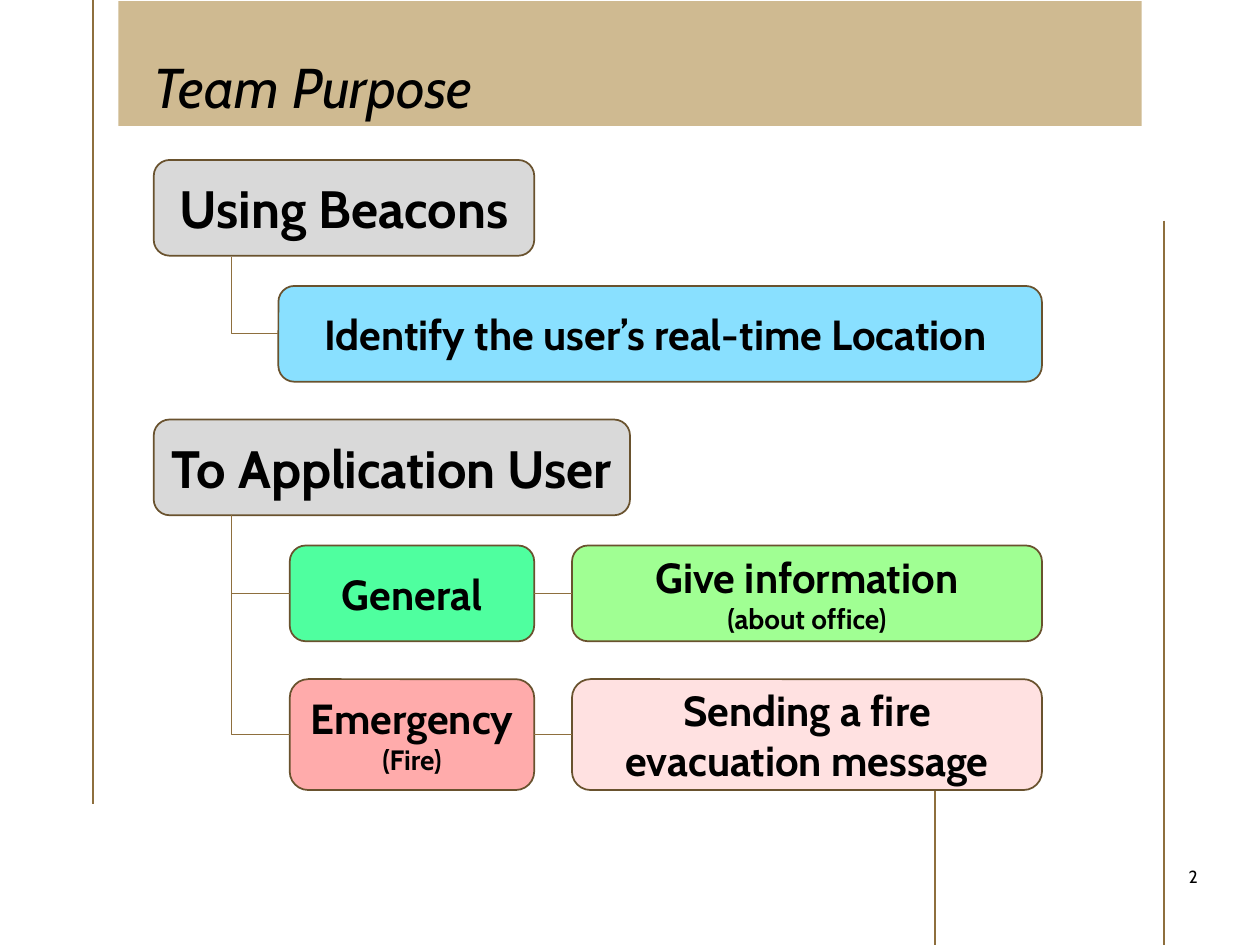
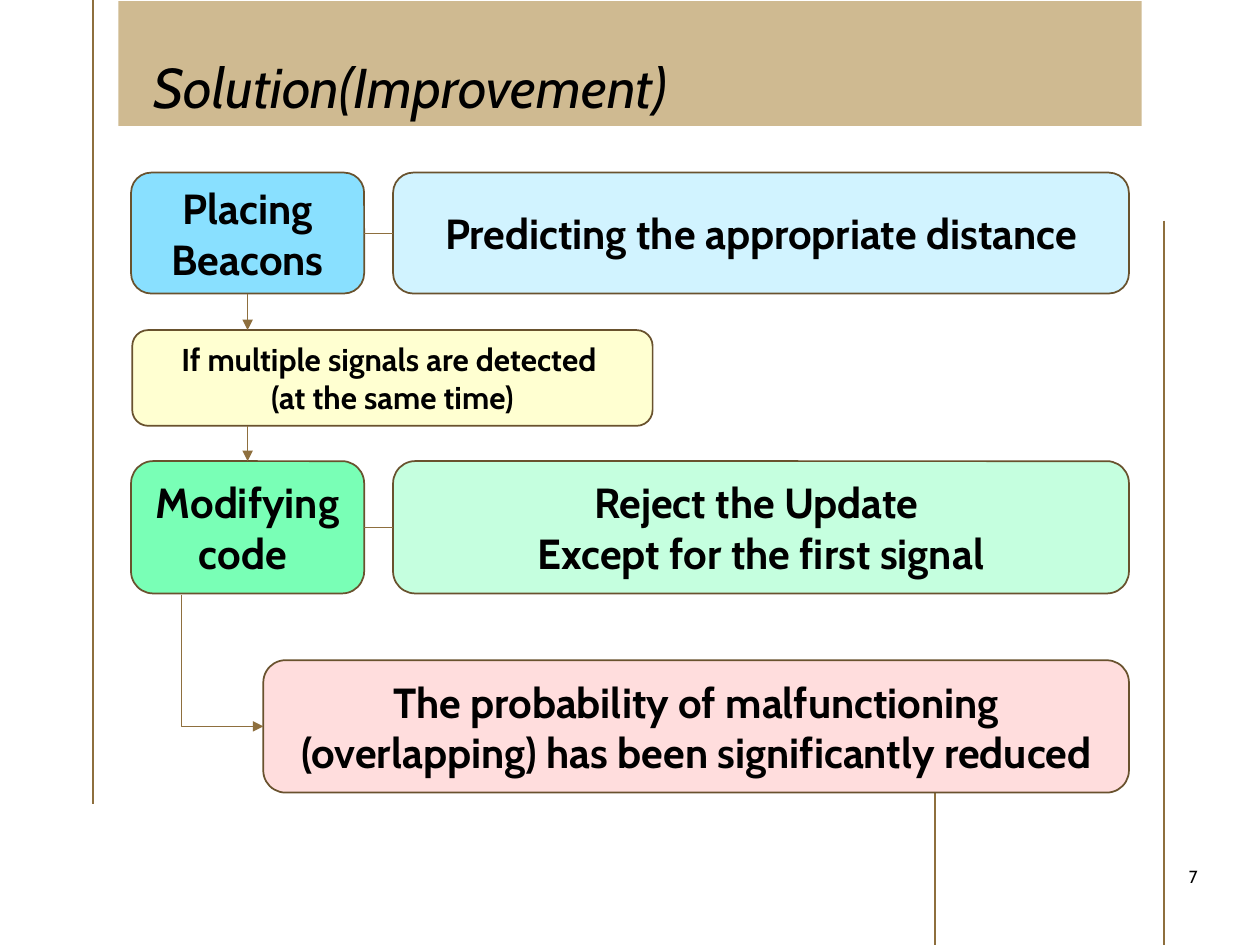
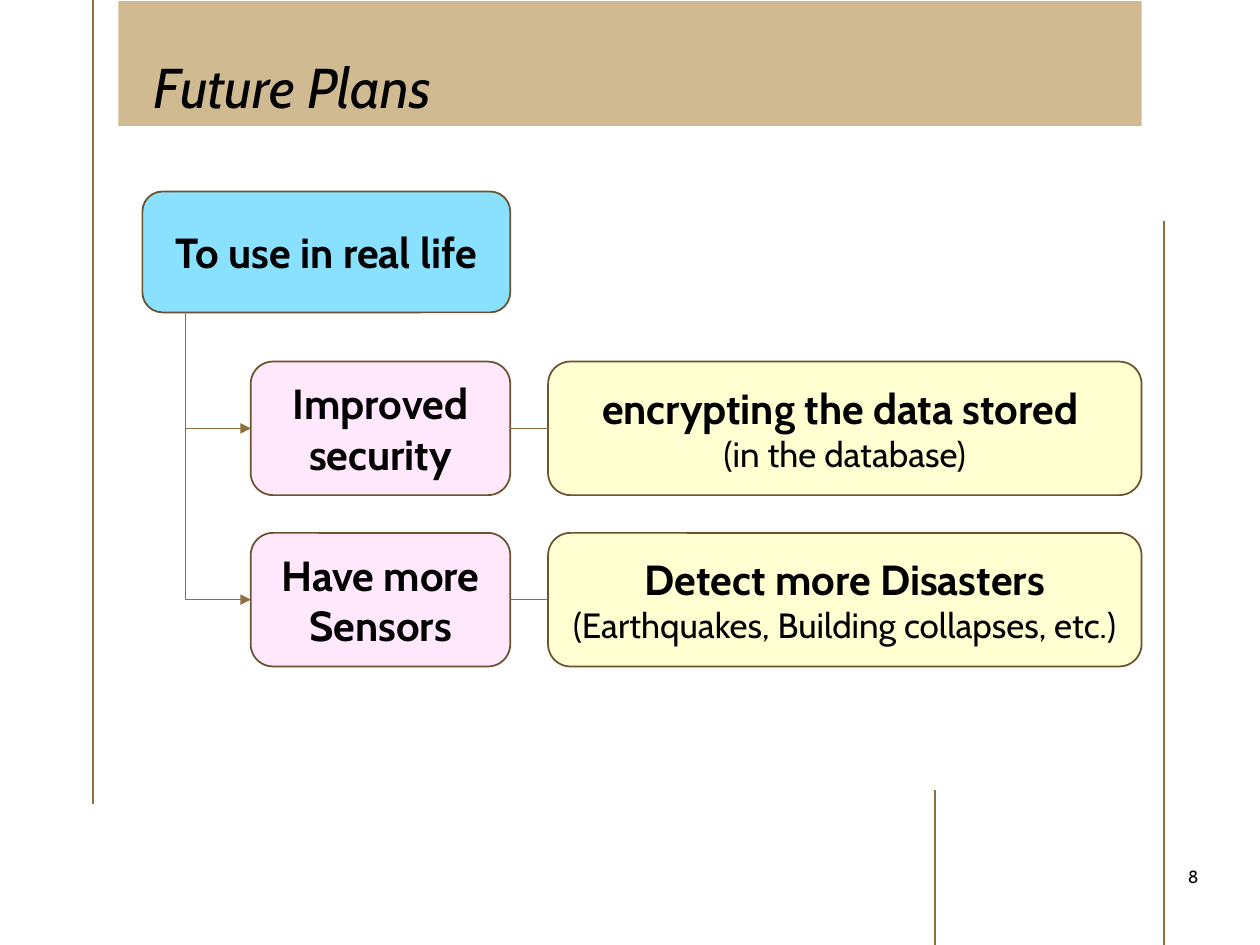
from lxml import etree
from pptx import Presentation
from pptx.dml.color import RGBColor
from pptx.enum.shapes import MSO_CONNECTOR, MSO_SHAPE
from pptx.enum.text import MSO_ANCHOR, MSO_AUTO_SIZE, PP_ALIGN
from pptx.oxml.ns import qn
from pptx.util import Inches, Pt

STRAIGHT = MSO_CONNECTOR.STRAIGHT
ELBOW = MSO_CONNECTOR.ELBOW
RECT = MSO_SHAPE.RECTANGLE
ROUND = MSO_SHAPE.ROUNDED_RECTANGLE
OVAL = MSO_SHAPE.OVAL
MIDDLE = MSO_ANCHOR.MIDDLE
CENTER = PP_ALIGN.CENTER
GROW = MSO_AUTO_SIZE.SHAPE_TO_FIT_TEXT
TOP, LEFT, BOTTOM, RIGHT = range(4)

FONT = "Cabin"
COLORS = {
    "ink": "000000",
    "band": "CFBA91",
    "rule": "8E6F3E",
    "edge": "69522E",
    "gray": "D9D9D9",
    "sky": "89E0FF",
    "ice": "D1F3FF",
    "lime": "A0FF93",
    "green": "4FFF9F",
    "mint": "79FFB6",
    "pale": "C5FFDF",
    "red": "FFABAB",
    "blush": "FFE1E1",
    "rose": "FFDDDD",
    "pink": "FFE7FC",
    "cream": "FFFFD1",
}
RULES = [(0.74, 0, 6.38), (7.42, 6.27, 7.5), (9.24, 1.75, 7.5)]


def color(name):
    return RGBColor.from_string(COLORS[name])


class Deck:
    def __init__(self):
        self.prs = Presentation()
        self.prs.slide_width = Inches(10)
        self.prs.slide_height = Inches(7.5)
        self.slide = None

    def page(self, title, number):
        self.slide = self.prs.slides.add_slide(self.prs.slide_layouts[6])
        self.shape(RECT, (0.94, 0.01, 8.12, 0.99), "band")
        for x, start, end in RULES:
            self.line((x, start), (x, end), 1)
        badge = self.shape(OVAL, (9.27, 6.76, 0.4, 0.4))
        badge.text_frame.margin_left = badge.text_frame.margin_right = Inches(0.02)
        self.label(badge.text_frame, [(str(number), 10, False)])
        self.title(title)

    def title(self, text):
        area = map(Inches, (1.22, 0.48, 7.57, 0.48))
        frame = self.slide.shapes.add_textbox(*area).text_frame
        frame.word_wrap = True
        frame.auto_size = GROW
        frame.margin_left = frame.margin_right = 0
        frame.margin_top = frame.margin_bottom = 0
        par = frame.paragraphs[0]
        par.text = text
        par.line_spacing = 0.9
        self.style(par.font, 32)
        par.font.italic = True

    def style(self, font, size, bold=False):
        font.name = FONT
        font.size = Pt(size)
        font.bold = bold
        font.color.rgb = color("ink")

    def label(self, frame, lines):
        frame.word_wrap = True
        frame.vertical_anchor = MIDDLE
        for i, (text, size, bold) in enumerate(lines):
            par = frame.add_paragraph() if i else frame.paragraphs[0]
            par.text = text
            par.alignment = CENTER
            self.style(par.font, size, bold)

    def shape(self, kind, area, fill=None, edge=None):
        item = self.slide.shapes.add_shape(kind, *map(Inches, area))
        item.shadow.inherit = False
        if fill:
            item.fill.solid()
            item.fill.fore_color.rgb = color(fill)
        else:
            item.fill.background()
        if edge:
            item.line.color.rgb = color(edge)
            item.line.width = Pt(1)
        else:
            item.line.fill.background()
        return item

    def box(self, area, fill, *texts, size=24, note=None):
        item = self.shape(ROUND, area, fill, "edge")
        lines = [(text, size, True) for text in texts]
        if note:
            lines.append(note)
        self.label(item.text_frame, lines)
        return item

    def ink(self, item, width, arrow):
        item.line.color.rgb = color("rule")
        item.line.width = Pt(width)
        props = item._element.spPr
        if arrow:
            etree.SubElement(props.find(qn("a:ln")), qn("a:tailEnd"), type="triangle")
        etree.SubElement(props, qn("a:effectLst"))

    def line(self, start, end, width=0.5, arrow=False):
        item = self.slide.shapes.add_connector(STRAIGHT, *map(Inches, start + end))
        self.ink(item, width, arrow)
        return item

    def link(self, first, second):
        item = self.line((0, 0), (1, 1))
        item.begin_connect(first, RIGHT)
        item.end_connect(second, LEFT)

    def drop(self, above, below, hub):
        x = (hub.left + hub.width // 2) / Inches(1)
        start = (above.top + above.height) / Inches(1)
        item = self.line((x, start), (x, below.top / Inches(1)), arrow=True)
        if above is hub:
            item.begin_connect(hub, BOTTOM)
        else:
            item.end_connect(hub, TOP)

    def bend(self, x, y, box, arrow=False):
        x, y = Inches(x), Inches(y)
        wide = box.left - x
        high = box.top + box.height // 2 - y
        item = self.slide.shapes.add_connector(ELBOW, 0, 0, high, wide)
        item.left = x + (wide - high) // 2
        item.top = y + (high - wide) // 2
        props = item._element.spPr
        props.find(qn("a:prstGeom")).set("prst", "bentConnector2")
        frame = props.find(qn("a:xfrm"))
        frame.set("rot", str(270 * 60000))
        frame.set("flipH", "1")
        self.ink(item, 0.5, arrow)


def purpose(deck):
    deck.page("Team Purpose", 2)
    deck.box((1.22, 1.27, 3.02, 0.76), "gray", "Using Beacons", size=30)
    deck.box((1.22, 3.33, 3.78, 0.76), "gray", "To Application User", size=30)
    place = deck.box((2.21, 2.27, 6.06, 0.76), "sky",
                     "Identify the user’s real-time Location ")
    deck.bend(1.84, 2.04, place)
    rows = [
        (4.33, 0.76, 4.09, "green", ("General", None),
         "lime", ("Give information", ("(about office)", 16, True))),
        (5.39, 0.88, 4.69, "red", ("Emergency", ("(Fire)", 16, True)),
         "blush", ("Sending a fire evacuation message", None)),
    ]
    for top, high, start, hue, (case, hint), tint, (act, note) in rows:
        left = deck.box((2.3, top, 1.94, high), hue, case, note=hint)
        right = deck.box((4.54, top, 3.73, high), tint, act, note=note)
        deck.bend(1.84, start, left)
        deck.link(left, right)


def solution(deck):
    deck.page("Solution(Improvement)", 7)
    rows = [
        (1.37, 0.96, "sky", ("Placing", "Beacons"),
         "ice", ("Predicting the appropriate distance",)),
        (3.66, 1.05, "mint", ("Modifying", "code "),
         "pale", ("Reject the Update ", "Except for the first signal")),
    ]
    steps = []
    for top, high, hue, step, tint, info in rows:
        left = deck.box((1.04, top, 1.85, high), hue, *step)
        right = deck.box((3.12, top, 5.84, high), tint, *info)
        deck.link(left, right)
        steps.append(left)
    place, code = steps
    case = deck.box((1.05, 2.62, 4.13, 0.76), "cream",
                    "If multiple signals are detected ", "(at the same time)", size=18)
    deck.drop(place, case, place)
    deck.drop(case, code, code)
    result = deck.box((2.09, 5.24, 6.87, 1.05), "rose",
                      "The probability of malfunctioning (overlapping) "
                      "has been significantly reduced")
    deck.bend(1.44, 4.72, result, arrow=True)


def future(deck):
    deck.page("Future Plans", 8)
    deck.box((1.13, 1.52, 2.92, 0.96), "sky", "To use in real life")
    rows = [
        (2.87, 2.48, "Improved security", "encrypting the data stored ",
         "(in the database)"),
        (4.23, 3.4, "Have more Sensors", "Detect more Disasters",
         "(Earthquakes, Building collapses, etc.)"),
    ]
    for top, start, goal, act, note in rows:
        left = deck.box((1.99, top, 2.06, 1.06), "pink", goal)
        right = deck.box((4.35, top, 4.71, 1.06), "cream", act, note=(note, 20, False))
        deck.link(left, right)
        deck.bend(1.47, start, left, arrow=True)


def main():
    deck = Deck()
    purpose(deck)
    solution(deck)
    future(deck)
    deck.prs.save("out.pptx")


if __name__ == "__main__":
    main()
